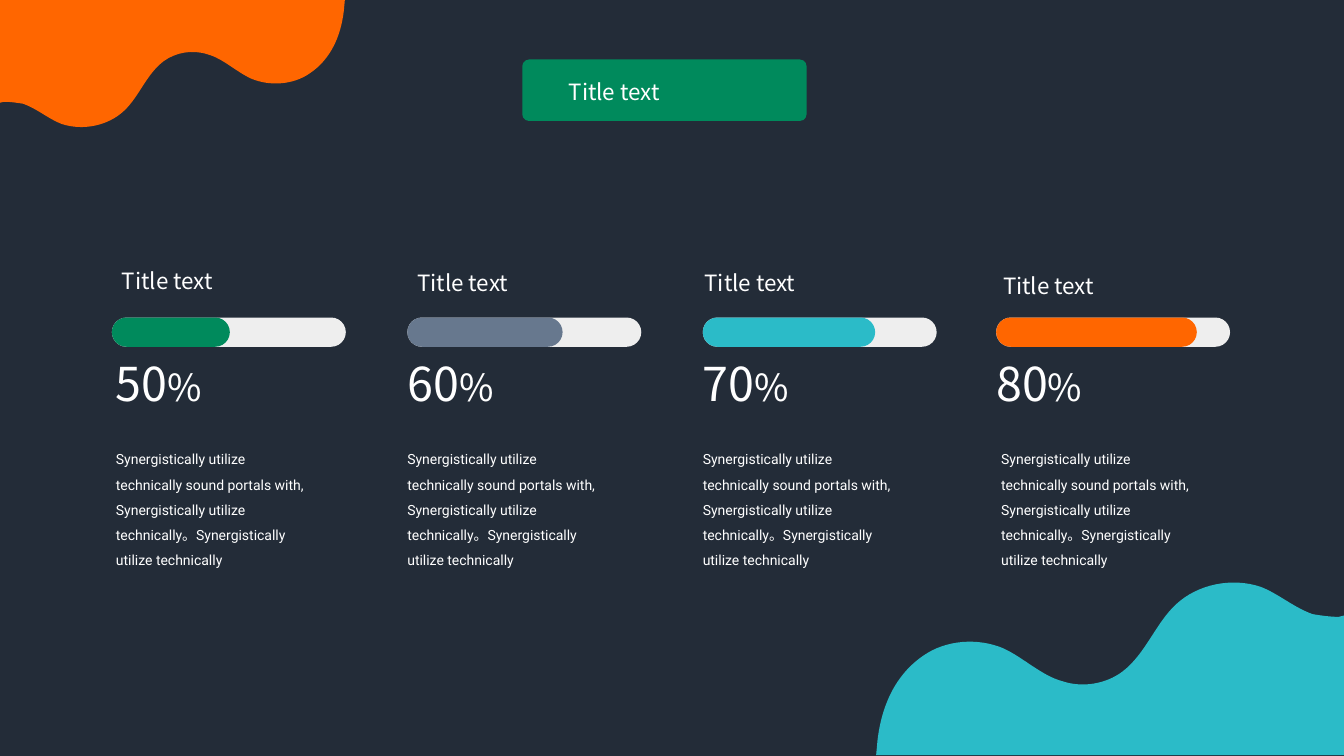
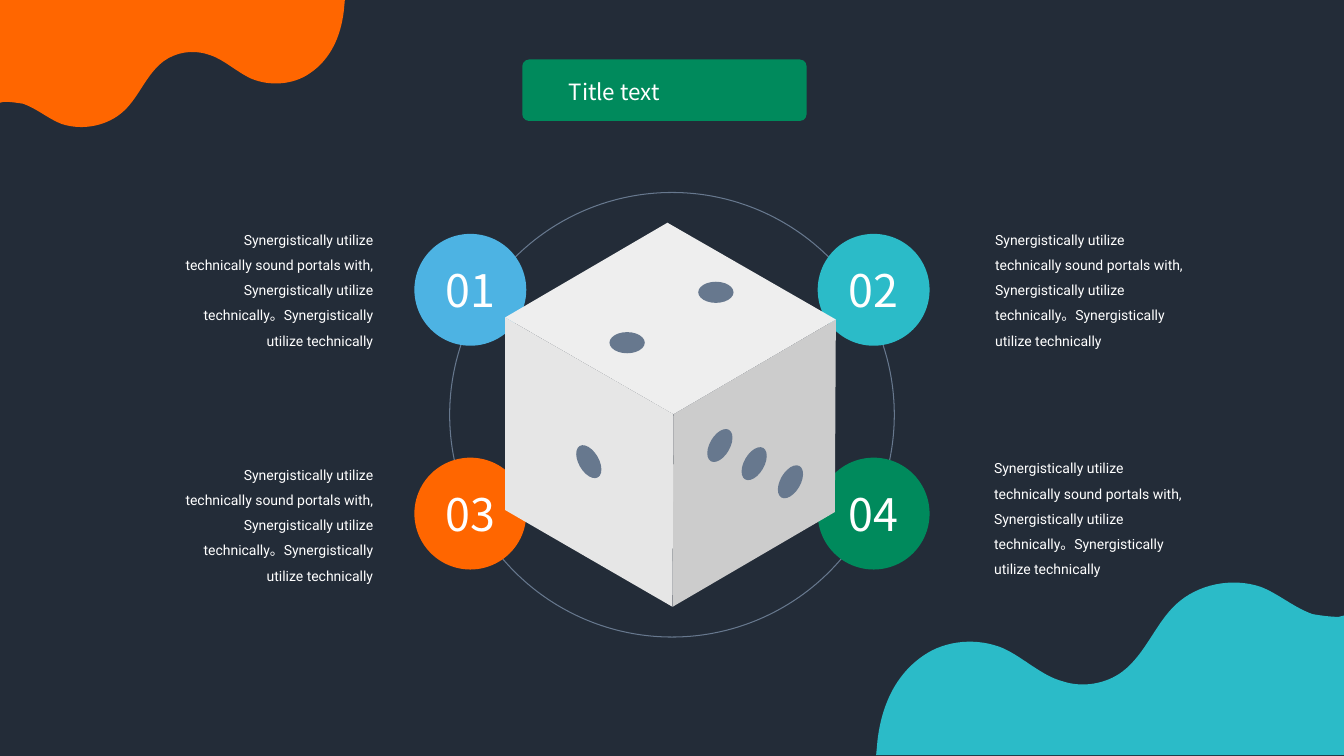
"""Build two dark slides: four progress bars, and a die with four numbered notes."""
from pptx import Presentation
from pptx.dml.color import RGBColor
from pptx.enum.shapes import MSO_SHAPE
from pptx.enum.text import MSO_ANCHOR, MSO_AUTO_SIZE, PP_ALIGN
from pptx.oxml.ns import qn
from pptx.oxml.xmlchemy import OxmlElement
from pptx.util import Inches, Pt

ROUND, OVAL = MSO_SHAPE.ROUNDED_RECTANGLE, MSO_SHAPE.OVAL
TOP, MIDDLE = MSO_ANCHOR.TOP, MSO_ANCHOR.MIDDLE
LEFT, CENTER, RIGHT, JUSTIFY = (
    PP_ALIGN.LEFT, PP_ALIGN.CENTER, PP_ALIGN.RIGHT, PP_ALIGN.JUSTIFY)
FIXED = MSO_AUTO_SIZE.NONE

COLORS = {
    "night": "232C38", "white": "FFFFFF", "green": "008A5C", "orange": "FF6600",
    "teal": "2BBBC8", "blue": "4DB3E3", "slate": "67788E",
    "light": "EEEEEE", "mist": "E6E6E6", "shade": "CCCCCC",
}
SANS, BODY = "Noto Sans CJK SC", "Roboto"
TITLE = "Title text"
NOTE = ("Synergistically utilize technically sound portals with, "
        "Synergistically utilize technically。Synergistically utilize technically")
HEAD_STYLE = {"size": 16, "align": JUSTIFY, "inset": (0.1, 0.05, 0.1, 0.05)}
NOTE_STYLE = {"size": 10, "font": BODY, "spacing": 1.5}


def draw(shapes, kind, box, color, adjust=None):
    """Add a preset shape in a box, or an outline through points if kind is None."""
    if kind is None:
        dots = [(Inches(x), Inches(y)) for x, y in box]
        pen = shapes.build_freeform(*dots[0])
        pen.add_line_segments(dots[1:])
        shape = pen.convert_to_shape()
    else:
        shape = shapes.add_shape(kind, *map(Inches, box))
    if adjust is not None:
        shape.adjustments[0] = adjust
    shape.shadow.inherit = False
    shape.line.fill.background()
    if color:
        shape.fill.solid()
        shape.fill.fore_color.rgb = RGBColor.from_string(COLORS[color])
    else:
        shape.fill.background()
    return shape


def write(shape, text, size=16, font=SANS, align=LEFT, anchor=TOP,
          inset=(0, 0, 0, 0), spacing=1.0, tail=None):
    """Put formatted text in a shape, with an optional (text, size) tail."""
    frame = shape.text_frame
    frame.word_wrap = True
    frame.auto_size = FIXED
    frame.vertical_anchor = anchor
    (frame.margin_left, frame.margin_top,
     frame.margin_right, frame.margin_bottom) = map(Inches, inset)
    line = frame.paragraphs[0]
    line.alignment = align
    line.line_spacing = spacing
    for part, points in [(text, size)] + ([tail] if tail else []):
        run = line.add_run()
        run.text = part
        run.font.size = Pt(points)
        run.font.name = font
        run.font.color.rgb = RGBColor.from_string(COLORS["white"])


deck = Presentation()
deck.slide_width, deck.slide_height = Inches(13.33), Inches(7.5)
back = deck.slide_master.background.fill
back.solid()
back.fore_color.rgb = RGBColor.from_string(COLORS["night"])

start = [(0, 0), (3.42, 0), (3.41, 0.11)]
curves = [
    (3.38, 0.36), (3.28, 0.59), (3.07, 0.73), (2.91, 0.84), (2.68, 0.86), (2.49, 0.78),
    (2.34, 0.71), (2.21, 0.58), (2.06, 0.54), (1.91, 0.49), (1.74, 0.52), (1.62, 0.61),
    (1.45, 0.74), (1.38, 0.96), (1.23, 1.1), (1.07, 1.25), (0.82, 1.3), (0.61, 1.23),
    (0.48, 1.18), (0.37, 1.08), (0.23, 1.03), (0.17, 1.02), (0.1, 1.01), (0.04, 1.01),
]
waves = [
    ("orange", (0, 0, 3.42, 1.26), 0),
    ("teal", (8.69, 5.78, 4.64, 1.71), 180),
]

pages = []
for _ in range(2):
    slide = deck.slides.add_slide(deck.slide_layouts[5])
    shapes = slide.shapes
    title = shapes.title
    title.left, title.top, title.width, title.height = map(
        Inches, (5.54, 0.72, 2.15, 0.37))
    write(title, TITLE, **HEAD_STYLE)
    band = draw(shapes, ROUND, (5.18, 0.59, 2.82, 0.61), "green", 0.11)
    title.element.addprevious(band.element)
    for color, box, turn in waves:
        wave = draw(shapes, None, start + curves + [(0, 1.02)], color)
        trace = next(wave.element.iter(qn("a:path")))
        trace.set("h", str(Inches(1.26)))
        steps = trace.findall(qn("a:lnTo"))[len(start) - 1:-1]
        for first in range(0, len(steps), 3):
            bend = OxmlElement("a:cubicBezTo")
            steps[first].addprevious(bend)
            for step in steps[first:first + 3]:
                bend.append(step[0])
                trace.remove(step)
        wave.left, wave.top, wave.width, wave.height = map(Inches, box)
        wave.rotation = turn
    pages.append(shapes)
bars, die = pages

columns = [
    ("50", "green", 1.17, 1.11, 1.15, 1.15, 1.11, 2.6),
    ("60", "slate", 1.54, 4.04, 4.04, 4.04, 4.04, 2.62),
    ("70", "teal", 1.71, 6.97, 6.97, 6.97, 6.89, 2.62),
    ("80", "orange", 1.99, 9.88, 9.88, 9.93, 9.85, 2.65),
]
for share, color, part, x, rate_x, note_x, head_x, head_y in columns:
    for width, tint in ((2.32, "light"), (part, color)):
        draw(bars, ROUND, (x, 3.15, width, 0.29), tint, 0.5)
    head = bars.add_textbox(*map(Inches, (head_x, head_y, 1.97, 0.37)))
    write(head, TITLE, **HEAD_STYLE)
    rate = bars.add_textbox(*map(Inches, (rate_x, 3.53, 2.32, 0.54)))
    write(rate, share, size=33.3, anchor=MIDDLE,
          inset=(0, 0.13, 0.13, 0.13), tail=("%", 26.7))
    note = bars.add_textbox(*map(Inches, (note_x, 4.39, 1.89, 1.48)))
    write(note, NOTE, **NOTE_STYLE)

ring = draw(die, OVAL, (4.46, 1.91, 4.41, 4.41), None)
ring.line.color.rgb = RGBColor.from_string(COLORS["slate"])
ring.line.width = Pt(0.75)

discs = [
    ("01", "blue", 4.11, 2.32, 1.81, 2.21, RIGHT),
    ("02", "teal", 8.11, 2.32, 9.87, 2.21, LEFT),
    ("03", "orange", 4.11, 4.54, 1.81, 4.54, RIGHT),
    ("04", "green", 8.11, 4.54, 9.86, 4.48, LEFT),
]
for number, color, x, y, note_x, note_y, side in discs:
    disc = draw(die, OVAL, (x, y, 1.11, 1.11), color)
    write(disc, number, size=32, align=CENTER, anchor=MIDDLE, inset=(0.13,) * 4)
    note = die.add_textbox(*map(Inches, (note_x, note_y, 1.89, 1.48)))
    write(note, NOTE, align=side, **NOTE_STYLE)

peak, west, east = (6.62, 2.21), (5.01, 3.15), (8.29, 3.17)
hub, foot = (6.68, 4.11), (6.67, 6.02)
faces = [
    ("shade", [east, hub, foot, (8.28, 5.08)]),
    ("light", [peak, west, hub, east]),
    ("mist", [west, (5.01, 5.06), foot, hub]),
]
for color, corners in faces:
    draw(die, None, corners, color)

pips = [
    (7.14, 4.42, 0.2, 0.36, 30), (7.48, 4.6, 0.2, 0.36, 30),
    (7.84, 4.78, 0.2, 0.36, 30), (5.84, 4.58, 0.2, 0.36, -30),
    (7.1, 2.9, 0.35, 0.21, 0), (6.22, 3.4, 0.35, 0.21, 0),
]
for x, y, width, height, turn in pips:
    pip = draw(die, OVAL, (x - width / 2, y - height / 2, width, height), "slate")
    pip.rotation = turn

deck.save("out.pptx")
